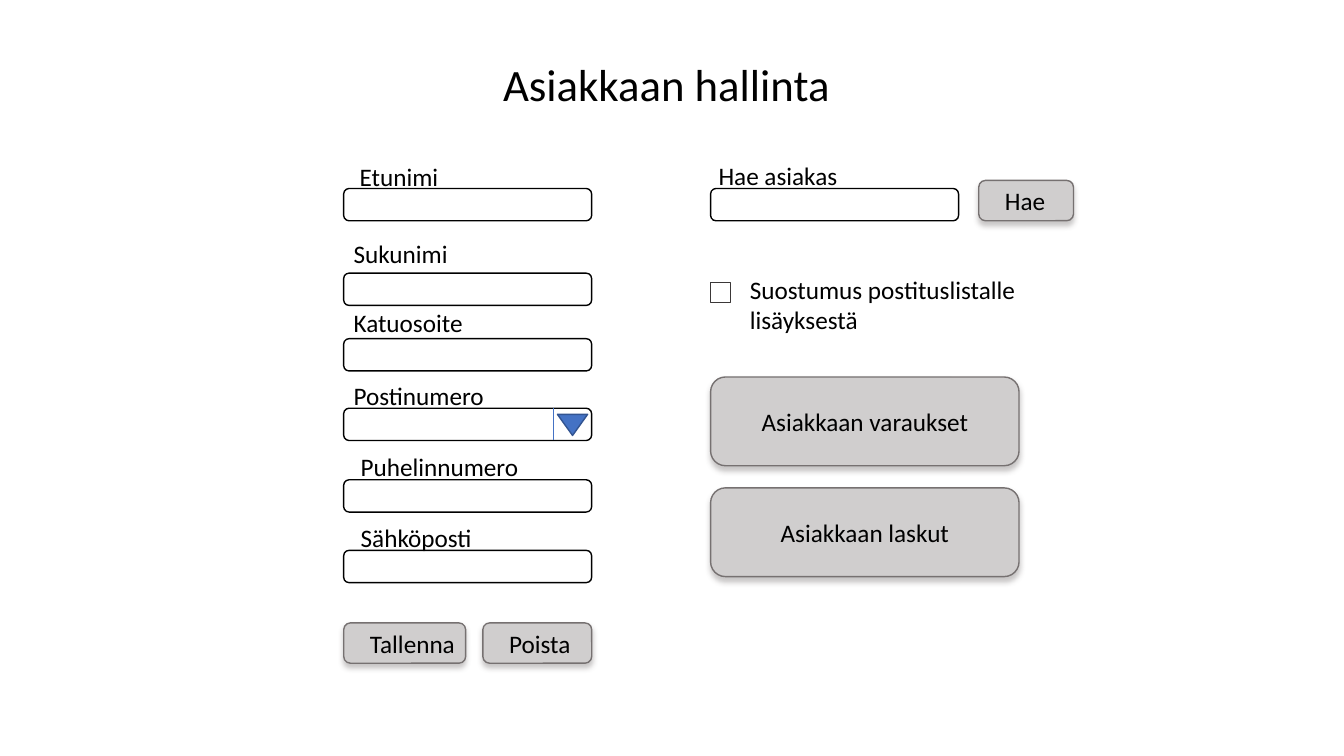
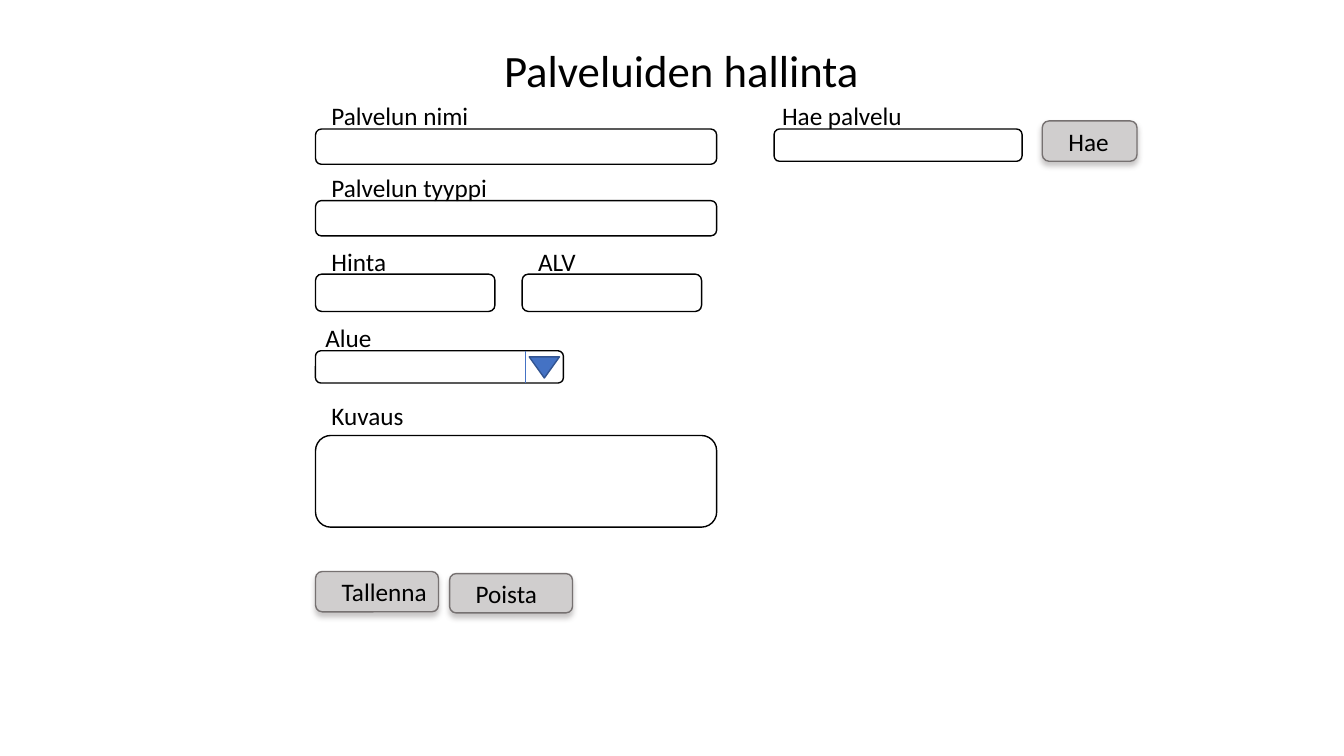
"""Build two form mock-ups: customer management and service management."""
from lxml import etree
from pptx import Presentation
from pptx.dml.color import RGBColor
from pptx.enum.shapes import MSO_CONNECTOR, MSO_SHAPE
from pptx.enum.text import MSO_ANCHOR, MSO_AUTO_SIZE, PP_ALIGN
from pptx.oxml.ns import qn
from pptx.util import Inches, Pt

ROUNDED, SQUARE = MSO_SHAPE.ROUNDED_RECTANGLE, MSO_SHAPE.RECTANGLE
TRIANGLE = MSO_SHAPE.ISOSCELES_TRIANGLE
STRAIGHT = MSO_CONNECTOR.STRAIGHT
TOP, MIDDLE = MSO_ANCHOR.TOP, MSO_ANCHOR.MIDDLE
LEFT, CENTER = PP_ALIGN.LEFT, PP_ALIGN.CENTER
NO_FIT = MSO_AUTO_SIZE.NONE

COLORS = {
    "ink": "000000",
    "button": "D0CECE",
    "button_edge": "767171",
    "checkbox": "3B3838",
    "accent": "4472C4",
    "accent_edge": "325491",
}
FONT = "Calibri"
TITLE_SIZE, TEXT_SIZE = 32, 18
TITLE_ONLY = 5

CELL = 0.1
COLUMNS, ROWS = 133.33, 75
FIELD_WIDTH, FIELD_HEIGHT = 24.6, 3.2
LABEL_HEIGHT, LABEL_LIFT = 4, 3.3
BUTTON_HEIGHT, BUTTON_INDENT = 4, 2.4


def grid(*cells):
    """Turn grid cells into slide lengths."""
    return [Inches(cell * CELL) for cell in cells]


def color(name):
    """Look up a named colour."""
    return RGBColor.from_string(COLORS[name])


def write(shape, text, size=TEXT_SIZE, align=LEFT, anchor=TOP):
    """Write one styled paragraph into a shape."""
    frame = shape.text_frame
    frame.word_wrap = True
    frame.auto_size = NO_FIT
    frame.vertical_anchor = anchor
    para = frame.paragraphs[0]
    para.alignment = align
    span = para.add_run()
    span.text = text
    span.font.name = FONT
    span.font.size = Pt(size)
    span.font.color.rgb = color("ink")
    return frame


def add_page(deck, title, left, top, width):
    """Add a slide with its title."""
    page = deck.slides.add_slide(deck.slide_layouts[TITLE_ONLY])
    heading = page.shapes.title
    heading.left, heading.top, heading.width, heading.height = grid(left, top, width, 6.4)
    write(heading, title, TITLE_SIZE)
    return page


def add_outline(page, kind, left, top, width, height, edge="ink", fill=None):
    """Draw a flat shape with a thin edge."""
    shape = page.shapes.add_shape(kind, *grid(left, top, width, height))
    shape.shadow.inherit = False
    if fill:
        shape.fill.solid()
        shape.fill.fore_color.rgb = color(fill)
    else:
        shape.fill.background()
    shape.line.color.rgb = color(edge)
    shape.line.width = Pt(1)
    return shape


def add_label(page, text, left, top, width=FIELD_WIDTH, height=LABEL_HEIGHT):
    """Place a line of plain text."""
    write(page.shapes.add_textbox(*grid(left, top, width, height)), text)


def add_field(page, text, left, top, width=FIELD_WIDTH, height=FIELD_HEIGHT,
              indent=0.6, lift=LABEL_LIFT):
    """Draw an input field with its label above."""
    add_outline(page, ROUNDED, left, top, width, height)
    add_label(page, text, left + indent, top - lift)


def add_dropdown(page, text, left, top):
    """Draw a field that ends in a drop-down arrow."""
    add_field(page, text, left, top, indent=0)
    divider = left + 20.8
    line = page.shapes.add_connector(
        STRAIGHT, *grid(divider, top, divider, top + FIELD_HEIGHT))
    line.line.color.rgb = color("accent")
    line.line.width = Pt(0.5)
    etree.SubElement(line._element.spPr, qn("a:effectLst"))
    arrow = add_outline(page, TRIANGLE, divider + 0.4, top + 0.6, 3, 2.1,
                        "accent_edge", "accent")
    arrow.rotation = 180


def add_shadow(shape):
    """Give a shape a soft shadow below it."""
    effects = shape._element.spPr.find(qn("a:effectLst"))
    shadow = etree.SubElement(effects, qn("a:outerShdw"), blurRad=str(Pt(4)),
                              dist=str(Pt(3)), dir="5400000", algn="t", rotWithShape="0")
    tint = etree.SubElement(shadow, qn("a:srgbClr"), val=COLORS["button_edge"])
    etree.SubElement(tint, qn("a:alpha"), val="40000")


def add_button(page, text, left, top, width, height=BUTTON_HEIGHT, align=LEFT):
    """Draw a raised grey button."""
    button = add_outline(page, ROUNDED, left, top, width, height, "button_edge", "button")
    add_shadow(button)
    frame = write(button, text, align=align, anchor=MIDDLE)
    if align == LEFT:
        frame.margin_left, frame.margin_right = grid(BUTTON_INDENT, 0)


def add_search(page, text, left, top):
    """Draw a search field with its button."""
    add_field(page, text, left, top, indent=-0.2)
    add_button(page, "Hae", left + FIELD_WIDTH + 2, top - 0.8, 9.4)


def build_customer_page(deck):
    """Build the customer management form."""
    page = add_page(deck, "Asiakkaan hallinta", 48.9, 5.1, 35.5)
    left, right = 34.1, 70.5
    for text, top, indent, lift in (
        ("Etunimi", 18.7, 0.6, 3.2),
        ("Sukunimi", 27.1, 0, 3.9),
        ("Katuosoite", 33.6, 0, 3.6),
        ("Puhelinnumero", 47.6, 0.7, LABEL_LIFT),
        ("Sähköposti", 54.6, 0.7, LABEL_LIFT),
    ):
        add_field(page, text, left, top, indent=indent, lift=lift)
    add_dropdown(page, "Postinumero", left, 40.5)
    add_button(page, "Tallenna", left, 61.8, 12.1)
    add_button(page, "Poista", left + 13.8, 61.8, 10.8)

    add_search(page, "Hae asiakas", right, 18.7)
    add_outline(page, SQUARE, right, 28, 2, 2, "checkbox")
    add_label(page, "Suostumus postituslistalle lisäyksestä", right + 2.9, 26.7, 29.8, 7.1)
    for row, text in enumerate(("Asiakkaan varaukset", "Asiakkaan laskut")):
        add_button(page, text, right, 37.4 + 11 * row, 30.6, 8.8, CENTER)


def build_service_page(deck):
    """Build the service management form."""
    page = add_page(deck, "Palveluiden hallinta", 49, 3.7, 37.7)
    left, wide, narrow = 31.3, 39.8, 17.8
    for row, text in enumerate(("Palvelun nimi", "Palvelun tyyppi")):
        add_field(page, text, left, 12.8 + 7.1 * row, wide, 3.5)
    for column, text in enumerate(("Hinta", "ALV")):
        add_field(page, text, left + 20.5 * column, 27.2, narrow, 3.7)
    add_dropdown(page, "Alue", left, 34.8)
    add_field(page, "Kuvaus", left, 43.2, wide, 9.1, lift=4)
    add_button(page, "Tallenna", left, 56.7, 12.2)
    add_button(page, "Poista", left + 13.3, 56.9, 12.2, 3.9)
    add_search(page, "Hae palvelu", 76.8, 12.8)


def main():
    """Build and save the deck."""
    deck = Presentation()
    deck.slide_width, deck.slide_height = grid(COLUMNS, ROWS)
    build_customer_page(deck)
    build_service_page(deck)
    deck.save("out.pptx")


if __name__ == "__main__":
    main()
